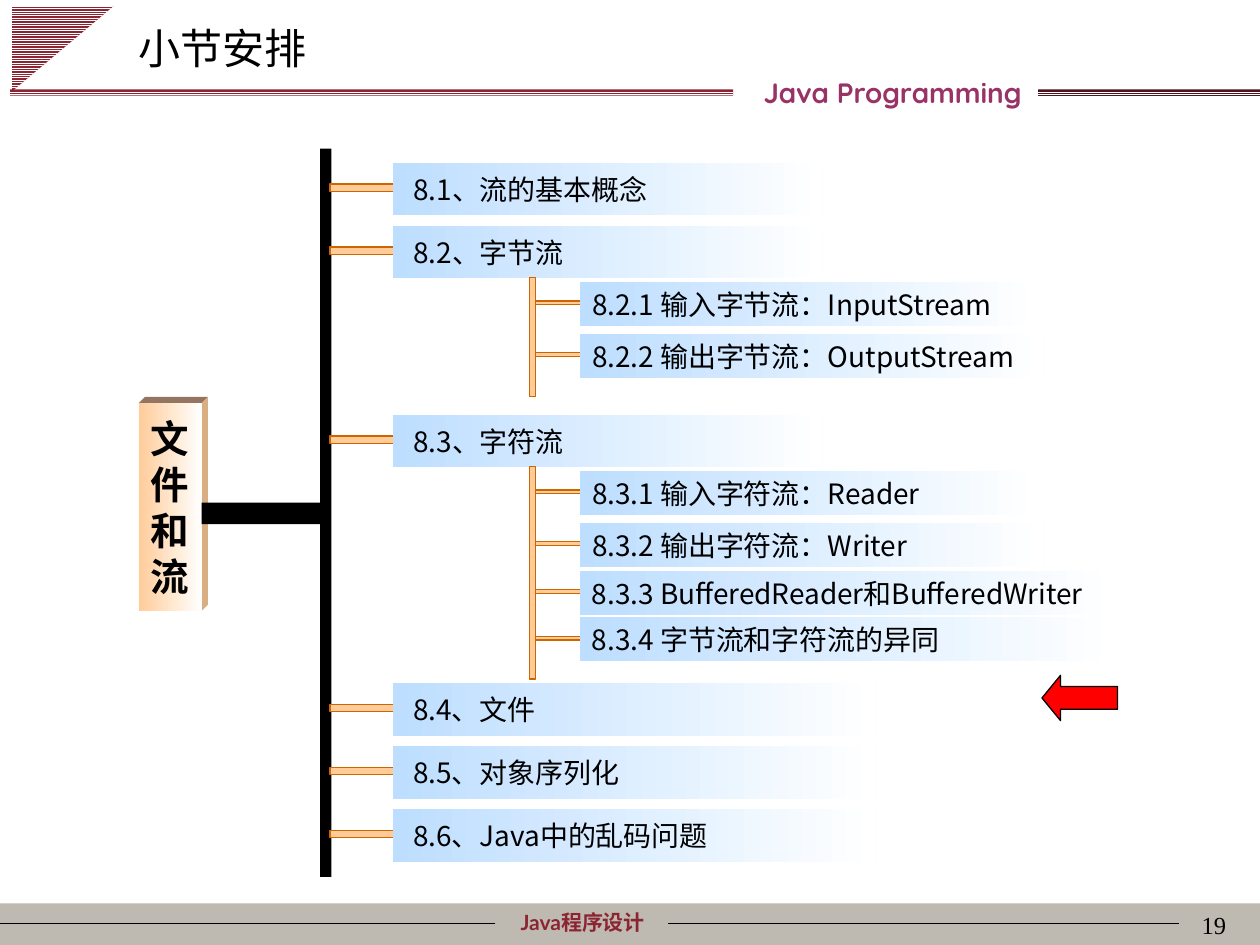
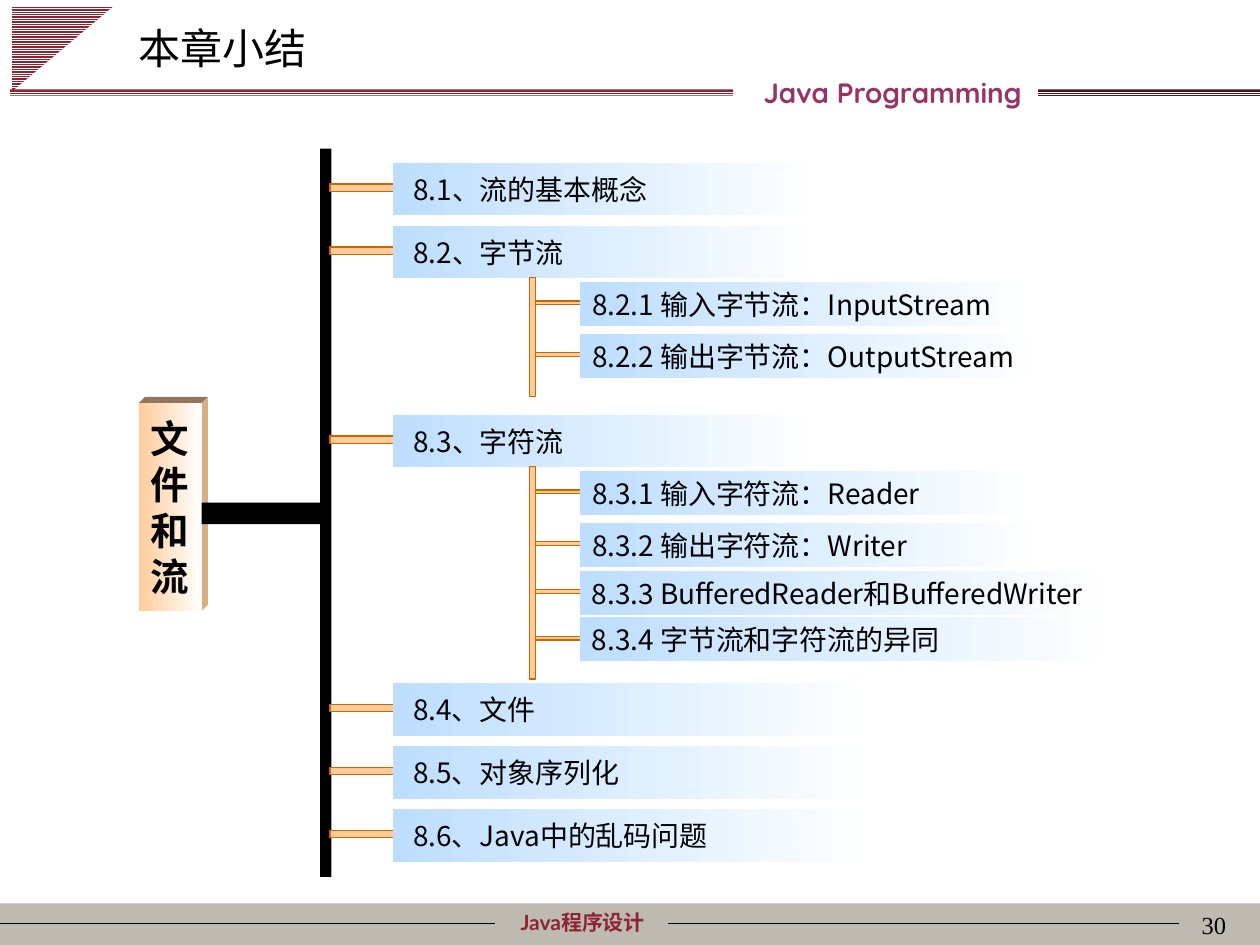
from lxml import etree
from pptx import Presentation
from pptx.dml.color import RGBColor
from pptx.enum.dml import MSO_PATTERN
from pptx.enum.shapes import MSO_CONNECTOR, MSO_SHAPE
from pptx.enum.text import MSO_ANCHOR, PP_ALIGN
from pptx.oxml.ns import qn
from pptx.util import Inches, Pt

RECT, ARROW = MSO_SHAPE.RECTANGLE, MSO_SHAPE.LEFT_ARROW
WEDGE = MSO_SHAPE.RIGHT_TRIANGLE
STRIPE = MSO_PATTERN.LIGHT_HORIZONTAL
STRAIGHT = MSO_CONNECTOR.STRAIGHT
LEFT, CENTER, RIGHT = PP_ALIGN.LEFT, PP_ALIGN.CENTER, PP_ALIGN.RIGHT
JUST = PP_ALIGN.JUSTIFY
TOP, MIDDLE = MSO_ANCHOR.TOP, MSO_ANCHOR.MIDDLE

HEX = {
    "white": "FFFFFF", "black": "000000", "band": "BFBAB1",
    "wine": "8C2532", "dark": "4C141B", "plum": "993366",
    "peach": "FFCC99", "rust": "CC6600", "sky": "BDDEFF",
    "red": "FF0000", "lid": "937560", "side": "D9AE82",
}
SANS, LATO = "Noto Sans CJK SC", "Lato"
QUICK, TIMES = "Quicksand", "Times New Roman"

# Each section: top, width, label, height of its stem, sub-items (top, width, label)
TREE = [
    (1.29, 3.41, "8.1、流的基本概念", 0, []),
    (1.79, 3.41, "8.2、字节流", 0.95, [
        (2.24, 3.65, "8.2.1 输入字节流：InputStream"),
        (2.65, 3.69, "8.2.2 输出字节流：OutputStream")]),
    (3.29, 3.41, "8.3、字符流", 1.69, [
        (3.74, 3.65, "8.3.1 输入字符流：Reader"),
        (4.15, 3.69, "8.3.2 输出字符流：Writer"),
        (4.53, 4.26, "8.3.3 BufferedReader和BufferedWriter"),
        (4.9, 4.26, "8.3.4 字节流和字符流的异同")]),
    (5.42, 3.83, "8.4、文件", 0, []),
    (5.92, 3.83, "8.5、对象序列化", 0, []),
    (6.42, 3.83, "8.6、Java中的乱码问题", 0, []),
]


def rgb(name):
    return RGBColor.from_string(HEX[name])


def write(shape, text, size=16, font=SANS, color="black", bold=False,
          align=LEFT, anchor=MIDDLE, inset=0.1):
    frame = shape.text_frame
    frame.word_wrap = True
    frame.vertical_anchor = anchor
    frame.margin_left, frame.margin_right = Inches(inset), Inches(0.1)
    para = frame.paragraphs[0]
    para.alignment = align
    para.space_before = Pt(0)
    run = para.add_run()
    run.text = text
    run.font.name, run.font.size, run.font.bold = font, Pt(size), bold
    run.font.color.rgb = rgb(color)
    if font == SANS:
        props = run.font._element
        etree.SubElement(props, qn("a:ea")).set("typeface", font)


def label(slide, box, text, **style):
    write(slide.shapes.add_textbox(*map(Inches, box)), text, **style)


def paint(shape, fill, line=None, fade=False, stripe=False):
    """Fill plainly, as a fade to white, or as white stripes."""
    shape.shadow.inherit = False
    if fade:
        shape.fill.gradient()
        shape.fill.gradient_angle = 0
        for stop, name in zip(shape.fill.gradient_stops, (fill, "white")):
            stop.color.rgb = rgb(name)
    elif stripe:
        shape.fill.patterned()
        shape.fill.pattern = STRIPE
        shape.fill.fore_color.rgb = rgb("white")
        shape.fill.back_color.rgb = rgb(fill)
    else:
        shape.fill.solid()
        shape.fill.fore_color.rgb = rgb(fill)
    if line:
        shape.line.color.rgb = rgb(line)
        shape.line.width = Pt(0.75)
    else:
        shape.line.fill.background()


def block(slide, box, fill, kind=RECT, **style):
    shape = slide.shapes.add_shape(kind, *map(Inches, box))
    paint(shape, fill, **style)
    return shape


def rule(slide, start, end, y):
    line = slide.shapes.add_connector(
        STRAIGHT, Inches(start), Inches(y), Inches(end), Inches(y))
    line.line.color.rgb = rgb("black")
    line.line.width = Pt(0.75)
    etree.SubElement(line._element.spPr, qn("a:effectLst"))


def header(slide, title):
    wedge = block(slide, (0.16, -0.02, 0.68, 0.81), "wine", WEDGE, stripe=True)
    wedge.rotation = 90
    block(slide, (8.24, 0.71, 1.76, 0.06), "dark", stripe=True)
    block(slide, (0.08, 0.71, 5.74, 0.05), "wine", stripe=True)
    label(slide, (5.08, 0.55, 4.01, 0.37), "Java Programming", font=QUICK,
          color="plum", bold=True, align=CENTER)
    head = slide.shapes.title
    head.left, head.top, head.width, head.height = map(
        Inches, (1, 0.13, 2.85, 0.5))
    write(head, title, size=24)


def footer(slide, page, top=7.17):
    block(slide, (0, top, 10, 0.33), "band")
    label(slide, (3.62, top, 2.01, 0.3), "Java程序设计", size=12, font=LATO,
          color="wine", bold=True, align=CENTER)
    for start, end in ((0, 3.93), (5.3, 9.36)):
        rule(slide, start, end, top + 0.16)
    label(slide, (7.75, top, 2.08, 0.5), str(page), size=14, font=TIMES,
          align=RIGHT, anchor=TOP)


def plaque(slide, x, y, wide, high, text, depth=0.05):
    """Upright sign with a raised lid and right side."""
    end, foot = x + wide, y + high
    faces = {
        "lid": [(x, y), (x + depth, y - depth),
                (end + depth, y - depth), (end, y)],
        "side": [(end, y), (end + depth, y - depth),
                 (end + depth, foot - depth), (end, foot)],
    }
    for fill, points in faces.items():
        first, *rest = [(Inches(a), Inches(b)) for a, b in points]
        pen = slide.shapes.build_freeform(*first)
        pen.add_line_segments(rest)
        paint(pen.convert_to_shape(), fill)
    front = block(slide, (x, y, wide, high), "peach", fade=True)
    write(front, text, size=22, bold=True, align=CENTER)


def twig(slide, x, y, wide, high):
    block(slide, (x, y, wide, high), "peach", line="rust")


def branch(slide, x, y, wide, text, stem, leaves):
    twig(slide, x - 0.5, y + 0.17, 0.51, 0.06)
    bar = block(slide, (x, y, wide, 0.42), "sky", fade=True)
    write(bar, text, align=JUST, inset=0.16)
    for top, span, name in leaves:
        twig(slide, x + 1.1, top + 0.15, 0.51, 0.03)
        leaf = block(slide, (x + 1.48, top, span, 0.35), "sky", fade=True)
        write(leaf, name)
    if stem:
        twig(slide, x + 1.08, y + 0.41, 0.05, stem)


def outline(slide):
    plaque(slide, 1.1, 3.2, 0.5, 1.65, "文件和流")
    block(slide, (1.6, 3.99, 1, 0.17), "black")
    block(slide, (2.54, 1.18, 0.09, 5.78), "black")
    for top, wide, text, stem, leaves in TREE:
        branch(slide, 3.12, top, wide, text, stem, leaves)


def marker(slide, x, y):
    arrow = block(slide, (x, y, 0.6, 0.36), "red", ARROW, line="black")
    arrow.adjustments[0], arrow.adjustments[1] = 0.5, 0.41


def page(deck, title, number):
    slide = deck.slides.add_slide(deck.slide_layouts[5])
    footer(slide, number)
    header(slide, title)
    outline(slide)
    return slide


def main():
    deck = Presentation()
    deck.slide_width, deck.slide_height = Inches(10), Inches(7.5)
    marker(page(deck, "小节安排", 19), 8.27, 5.36)
    page(deck, "本章小结", 30)
    deck.save("out.pptx")


if __name__ == "__main__":
    main()
